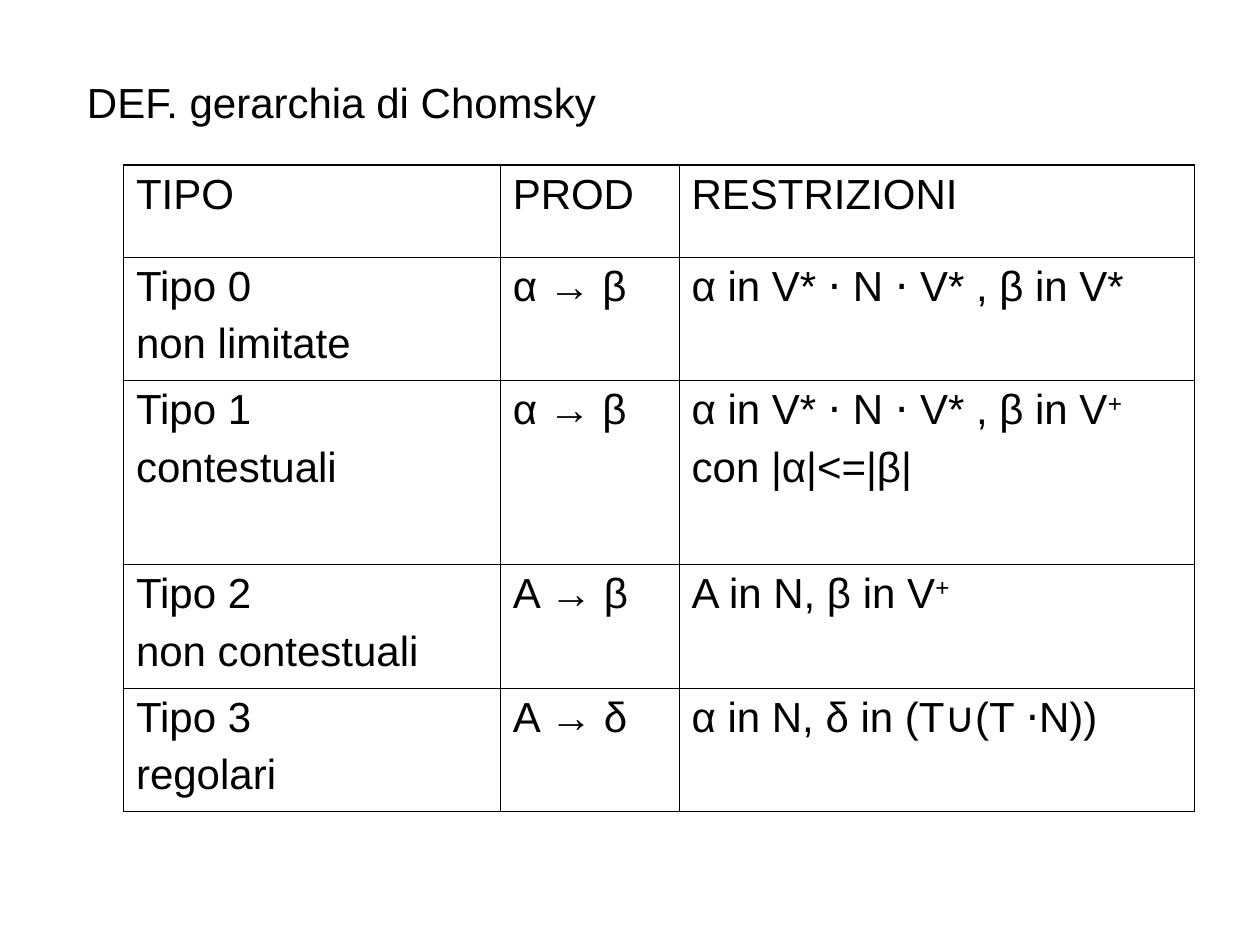
from typing import NamedTuple

from lxml.etree import SubElement
from pptx import Presentation
from pptx.dml.color import RGBColor
from pptx.enum.text import MSO_ANCHOR, MSO_AUTO_SIZE, PP_ALIGN
from pptx.oxml.ns import qn
from pptx.util import Inches, Pt

WIDE, HIGH = Inches(10), Inches(7.5)
INK = "000000"
THIN, THICK = 0.45, 1.08


class Box(NamedTuple):
    """Place and size in percent of the slide."""
    x: float
    y: float
    w: float
    h: float


class Row(NamedTuple):
    """Height in percent of the slide; ^ lifts the next letter."""
    high: float
    kind: str
    prod: str
    rule: str


COLS = (29.9, 14.2, 40.9)
ROWS = (
    Row(9.73, "TIPO", "PROD", "RESTRIZIONI"),
    Row(13.07, "Tipo 0\nnon limitate", "α → β", "α in V* ⋅ N ⋅ V* , β in V*"),
    Row(19.47, "Tipo 1\ncontestuali", "α → β",
        "α in V* ⋅ N ⋅ V* , β in V^+\ncon |α|<=|β|"),
    Row(13.07, "Tipo 2\nnon contestuali", "A → β", "A in N, β in V^+"),
    Row(13.07, "Tipo 3\nregolari", "A → δ", "α in N, δ in (T∪(T ⋅N))"),
)
HEAD = Box(5.9, 6.93, 90.6, 8.4)
GRID = Box(9.8, 17.47, sum(COLS), sum(row.high for row in ROWS))


def across(share: float) -> int:
    return round(WIDE * share / 100)


def down(share: float) -> int:
    return round(HIGH * share / 100)


def place(box: Box) -> tuple[int, int, int, int]:
    return across(box.x), down(box.y), across(box.w), down(box.h)


def tint(code: str) -> RGBColor:
    return RGBColor.from_string(code)


def write(frame, text: str, *, size: float = 24, face: str = "Arial",
          color: str = INK, gap: float = 6) -> None:
    """Fill a frame, one paragraph per line, with raised letters after ^."""
    frame.word_wrap = True
    for i, line in enumerate(text.split("\n")):
        par = frame.add_paragraph() if i else frame.paragraphs[0]
        par.alignment = PP_ALIGN.LEFT
        par.line_spacing = 1.0
        par.space_before = Pt(gap if i else 0)
        base, *high = line.split("^")
        for part in (base, *high):
            run = par.add_run()
            run.text = part
            font = run.font
            font.size, font.name = Pt(size), face
            font.color.rgb = tint(color)
            if part is not base:
                font._element.set("baseline", "30000")


def edge(cell, side: str, width: float, color: str = INK) -> None:
    line = SubElement(cell._tc.get_or_add_tcPr(), qn(f"a:ln{side}"),
                      w=str(int(Pt(width))))
    fill = SubElement(line, qn("a:solidFill"))
    SubElement(fill, qn("a:srgbClr"), val=color)


def draw_grid(slide, box: Box, rows: tuple[Row, ...]) -> None:
    last, end = len(rows) - 1, len(COLS) - 1
    table = slide.shapes.add_table(len(rows), len(COLS), *place(box)).table
    table.first_row = table.horz_banding = False
    for col, share in zip(table.columns, COLS):
        col.width = across(share)
    for r, row in enumerate(rows):
        table.rows[r].height = down(row.high)
        for c, text in enumerate((row.kind, row.prod, row.rule)):
            cell = table.cell(r, c)
            write(cell.text_frame, text)
            # Outer edges are thick, inner ones thin
            rims = {"L": c == 0, "R": c == end, "T": r == 0, "B": r == last}
            for side, rim in rims.items():
                edge(cell, side, THICK if rim else THIN)
            cell.fill.background()


def main() -> None:
    deck = Presentation()
    deck.slide_width, deck.slide_height = WIDE, HIGH
    slide = deck.slides.add_slide(deck.slide_layouts[5])

    # Title
    head = slide.shapes.title
    head.left, head.top, head.width, head.height = place(HEAD)
    frame = head.text_frame
    frame.auto_size = MSO_AUTO_SIZE.NONE
    frame.vertical_anchor = MSO_ANCHOR.TOP
    frame.margin_top = Inches(0.09)
    write(frame, "DEF. gerarchia di Chomsky")

    # Table of grammar types
    draw_grid(slide, GRID, ROWS)
    deck.save("out.pptx")


if __name__ == "__main__":
    main()
